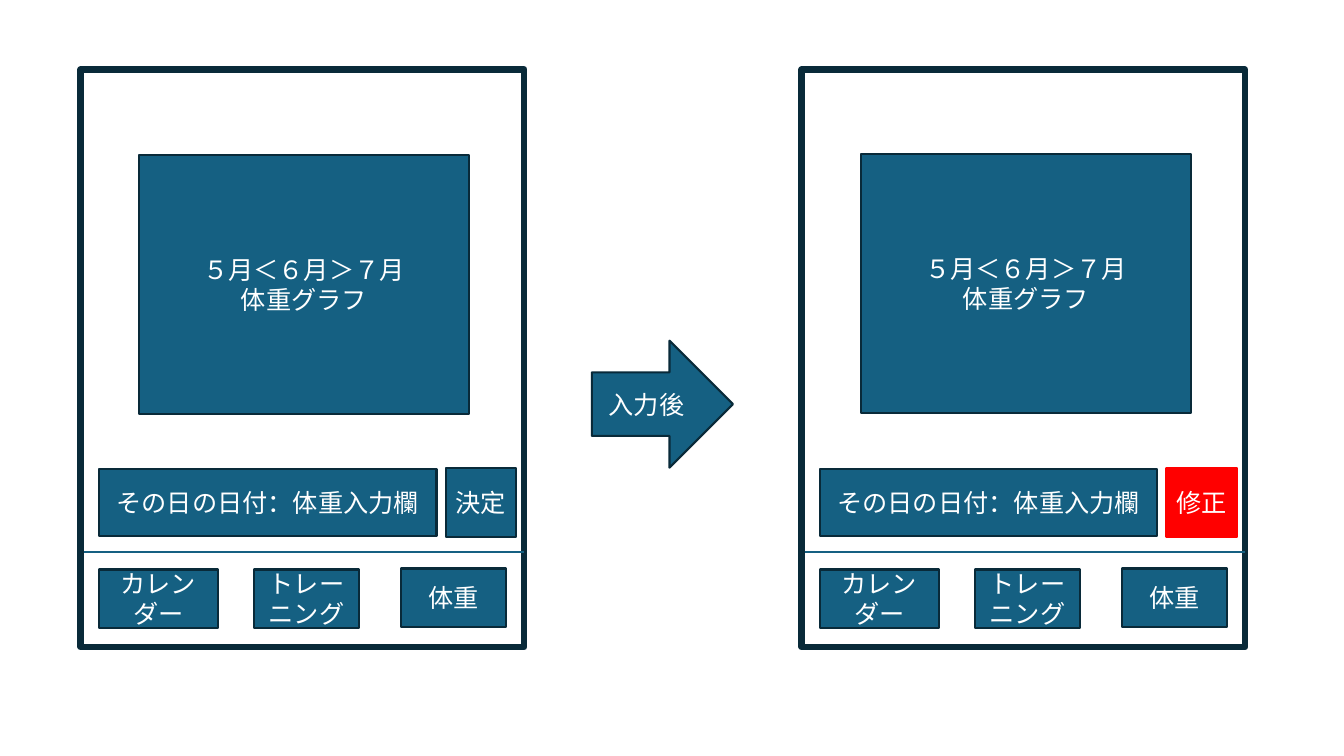
import pptx
import pptx.dml.color
import pptx.enum.shapes
import pptx.enum.text
import pptx.oxml
import pptx.oxml.ns
import pptx.util
from pptx.util import Inches

RGBColor = pptx.dml.color.RGBColor
SHAPE = pptx.enum.shapes.MSO_SHAPE
BLUE = RGBColor(0x15, 0x60, 0x82)
NAVY = RGBColor(0x09, 0x2A, 0x39)
RED = RGBColor(0xFF, 0x00, 0x00)
WHITE = RGBColor(0xFF, 0xFF, 0xFF)
FONT = "Noto Sans CJK JP"
TEXT_FORMAT = {"size": pptx.util.Pt(18), "name": FONT}
FRAME_FORMAT = {"word_wrap": True, "vertical_anchor": pptx.enum.text.MSO_ANCHOR.MIDDLE}
NAV_BUTTONS = [
    ("カレンダー", 0.18, 4.96, 1.18),
    ("トレーニング", 1.72, 4.96, 1.04),
    ("体重", 3.18, 4.95, 1.04),
]


def add_box(shapes, box, lines=(), fill=BLUE, line=NAVY, weight=1.5,
            kind=SHAPE.RECTANGLE, inset=0.1):
    """Add an outlined shape with centred lines of text."""
    sp = shapes.add_shape(kind, *map(Inches, box))
    sp.shadow.inherit = False
    if fill is None:
        sp.fill.background()
    else:
        sp.fill.solid()
        sp.fill.fore_color.rgb = fill
    sp.line.color.rgb = line
    sp.line.width = pptx.util.Pt(weight)
    tf = sp.text_frame
    for name, value in FRAME_FORMAT.items():
        setattr(tf, name, value)
    tf.margin_left = tf.margin_right = Inches(inset)
    for i, text in enumerate(lines):
        p = tf.add_paragraph() if i else tf.paragraphs[0]
        p.alignment = pptx.enum.text.PP_ALIGN.CENTER
        r = p.add_run()
        r.text = text
        for name, value in TEXT_FORMAT.items():
            setattr(r.font, name, value)
        r.font.color.rgb = WHITE
        ea = pptx.oxml.parse_xml(
            f'<a:ea {pptx.oxml.ns.nsdecls("a")} typeface="{FONT}"/>')
        r.font._element.find(pptx.oxml.ns.qn("a:latin")).addnext(ea)
    return sp


def add_divider(shapes, x, y, width):
    """Add the thin horizontal line above the navigation buttons."""
    cxn = shapes.add_connector(pptx.enum.shapes.MSO_CONNECTOR.STRAIGHT,
                               Inches(x), Inches(y), Inches(x + width), Inches(y))
    cxn.line.color.rgb = BLUE
    cxn.line.width = pptx.util.Pt(1.5)
    cxn._element.spPr.append(
        pptx.oxml.parse_xml(f'<a:effectLst {pptx.oxml.ns.nsdecls("a")}/>'))


def add_base(slide, x, y, width, height):
    """Add the grouped screen outline, divider and navigation bar."""
    shapes = slide.shapes.add_group_shape().shapes
    add_box(shapes, (x, y, width, height), fill=None, weight=4.5)
    add_divider(shapes, x + 0.03, y + 4.79, width - 0.03)
    for label, dx, dy, button_width in NAV_BUTTONS:
        add_box(shapes, (x + dx, y + dy, button_width, 0.58), [label])


def add_screen(slide, box, graph_at, action, fill, line):
    """Add a weight screen with its graph, input field and action button."""
    x, y = box[:2]
    dx, dy = graph_at
    add_base(slide, *box)
    add_box(slide.shapes, (x + dx, y + dy, 3.27, 2.57),
            ["５月＜６月＞７月", "体重グラフ"])
    add_box(slide.shapes, (x + 0.18, y + 3.96, 3.35, 0.67),
            ["その日の日付：体重入力欄"])
    add_box(slide.shapes, (x + 3.62, y + 3.95, 0.7, 0.69), [action],
            fill, line, inset=0.05)


def main():
    """Build the slide and save it."""
    prs = pptx.Presentation()
    prs.slide_width, prs.slide_height = Inches(13.33), Inches(7.5)
    slide = prs.slides.add_slide(prs.slide_layouts[6])
    add_screen(slide, (0.8, 0.69, 4.4, 5.73), (0.58, 0.85), "決定", BLUE, NAVY)
    add_screen(slide, (7.95, 0.69, 4.4, 5.73), (0.59, 0.84), "修正", RED, RED)
    add_box(slide.shapes, (5.87, 3.38, 1.4, 1.26), ["入力後"],
            kind=SHAPE.RIGHT_ARROW)
    prs.save("out.pptx")


if __name__ == "__main__":
    main()
